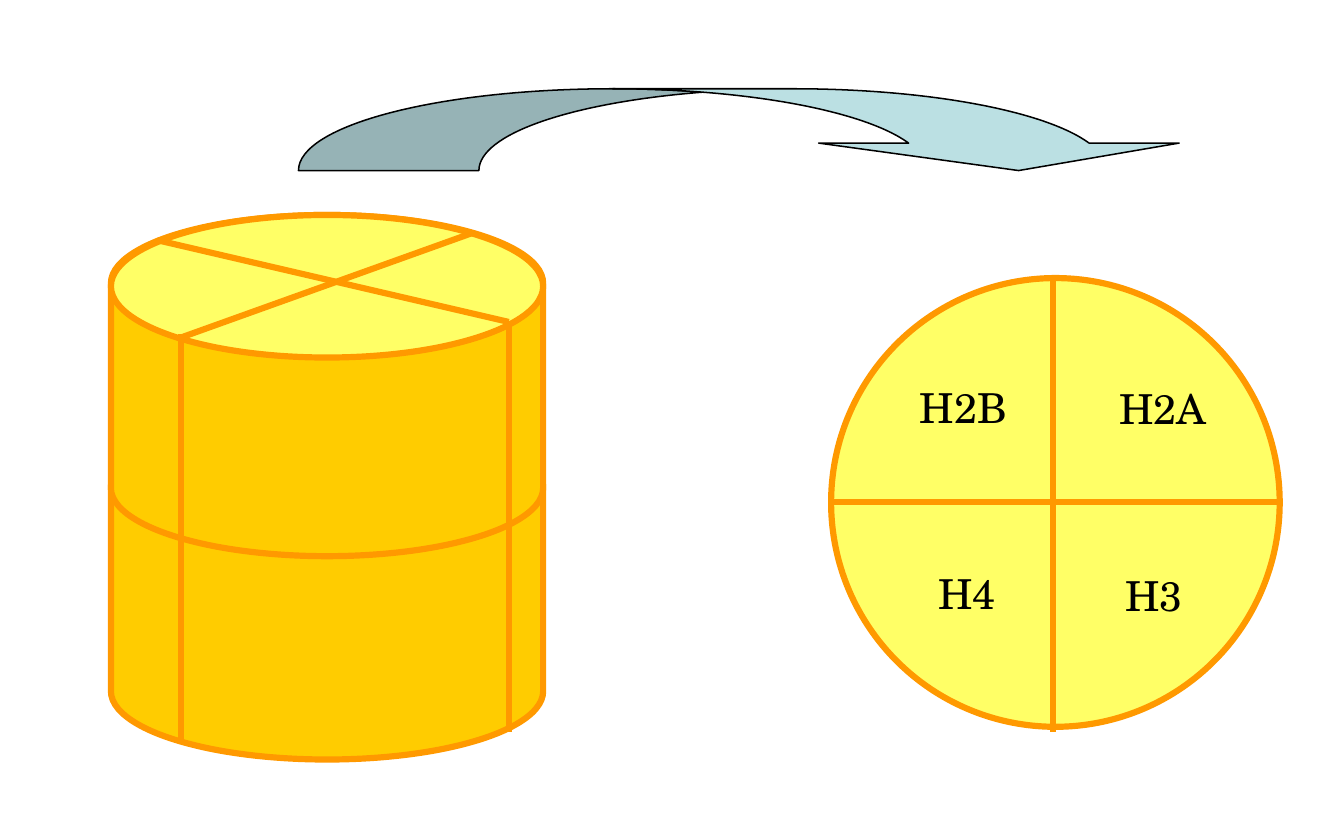
import math

import pptx
import pptx.dml.color
import pptx.enum.shapes
import pptx.enum.text
import pptx.oxml.ns
import pptx.util
from lxml import etree
from pptx.util import Cm

ORANGE = "FF9900"
AMBER = "FFCC00"
YELLOW = "FFFF66"
LABEL_FONT = "TeX Gyre Schola"
SHAPES = pptx.enum.shapes.MSO_SHAPE


def colour(hex_text):
    return pptx.dml.color.RGBColor.from_string(hex_text)


def style(shape, fill, line, width):
    shape.shadow.inherit = False
    shape.fill.solid()
    shape.fill.fore_color.rgb = colour(fill)
    shape.line.color.rgb = colour(line)
    shape.line.width = pptx.util.Pt(width)


def add_solid(page, kind, left, top, width, height, fill):
    shape = page.shapes.add_shape(kind, Cm(left), Cm(top), Cm(width), Cm(height))
    style(shape, fill, ORANGE, 3)
    return shape


def add_line(page, x1, y1, x2, y2):
    line = page.shapes.add_connector(
        pptx.enum.shapes.MSO_CONNECTOR.STRAIGHT, Cm(x1), Cm(y1), Cm(x2), Cm(y2))
    line.line.color.rgb = colour(ORANGE)
    line.line.width = pptx.util.Pt(3)
    properties = line._element.spPr
    etree.SubElement(properties, pptx.oxml.ns.qn("a:effectLst"))


def add_label(page, text, left, top, width):
    box = page.shapes.add_textbox(Cm(left), Cm(top), Cm(width), Cm(1.12))
    frame = box.text_frame
    frame.word_wrap = False
    frame.auto_size = pptx.enum.text.MSO_AUTO_SIZE.SHAPE_TO_FIT_TEXT
    para = frame.paragraphs[0]
    para.text = text
    para.font.name = LABEL_FONT
    para.font.size = pptx.util.Pt(20)
    para.font.color.rgb = colour("000000")


def add_outline(page, start, segments, fill):
    """Draw segments of one point (straight) or three points (cubic curve)."""
    points = [(Cm(x), Cm(y)) for segment in segments for x, y in segment]
    builder = page.shapes.build_freeform(Cm(start[0]), Cm(start[1]))
    builder.add_line_segments(points, close=True)
    shape = builder.convert_to_shape()
    style(shape, fill, "000000", 0.75)

    # Join each group of three steps into one curve
    steps = iter(list(shape._element.iter(pptx.oxml.ns.qn("a:lnTo"))))
    for segment in segments:
        first, *others = [next(steps) for _ in segment]
        if others:
            first.tag = pptx.oxml.ns.qn("a:cubicBezTo")
        for step in others:
            first.append(step[0])
            step.getparent().remove(step)


def add_curved_arrow(page):
    tail_x, head_x, base_y = 10.49, 13.58, 2.92  # centres of the two arcs
    radius_x, radius_y = 5.38, 1.4
    barb_y, barb = 2.45, 1.54

    def arc(centre_x, start, end):
        pull = 4 / 3 * math.tan((end - start) / 4)

        def place(angle, shift):
            return (centre_x + radius_x * (math.sin(angle) + shift * math.cos(angle)),
                    base_y - radius_y * (math.cos(angle) - shift * math.sin(angle)))

        return [place(start, pull), place(end, -pull), place(end, 0)]

    # Shaded tail, up to where the arcs cross
    crossing = math.asin((head_x - tail_x) / 2 / radius_x)
    quarter = math.pi / 2
    tail = [arc(tail_x, -quarter, 0), arc(tail_x, 0, crossing),
            arc(head_x, -crossing, -quarter)]
    add_outline(page, (tail_x - radius_x, base_y), tail, "96B3B6")

    # Light band with the arrowhead
    neck = math.acos((base_y - barb_y) / radius_y)
    reach = radius_x * math.sin(neck)
    head = [arc(head_x, 0, neck),
            [(head_x + reach + barb, barb_y)],
            [(17.44, base_y)],
            [(tail_x + reach - barb, barb_y)],
            [(tail_x + reach, barb_y)],
            arc(tail_x, neck, 0)]
    add_outline(page, (head_x, base_y - radius_y), head, "BBE0E3")


def add_cylinder(page):
    left, width = 1.9, 7.4
    for top in (7.16, 3.68):
        add_solid(page, SHAPES.CAN, left, top, width, 5.84, AMBER).adjustments[0] = 0.4
    add_solid(page, SHAPES.OVAL, left, 3.68, width, 2.44, YELLOW)
    add_line(page, 8.08, 3.99, 3.12, 5.77)
    add_line(page, 3.1, 5.72, 3.1, 12.73)
    add_line(page, 2.69, 4.11, 8.71, 5.51)
    add_line(page, 8.71, 5.51, 8.71, 12.52)


def add_quartered_circle(page):
    add_solid(page, SHAPES.OVAL, 14.23, 4.76, 7.68, 7.68, YELLOW)
    add_line(page, 14.27, 8.59, 21.87, 8.59)
    add_line(page, 18.03, 4.72, 18.03, 12.52)
    add_label(page, "H2B", 15.5, 6.41, 2.02)
    add_label(page, "H4", 15.82, 9.61, 1.52)
    add_label(page, "H3", 19.02, 9.63, 1.52)
    add_label(page, "H2A", 18.91, 6.43, 2.02)


def main():
    deck = pptx.Presentation()
    deck.slide_width, deck.slide_height = Cm(23.01), Cm(14)
    page = deck.slides.add_slide(deck.slide_layouts[6])
    add_cylinder(page)
    add_quartered_circle(page)
    add_curved_arrow(page)
    deck.save("out.pptx")


if __name__ == "__main__":
    main()
